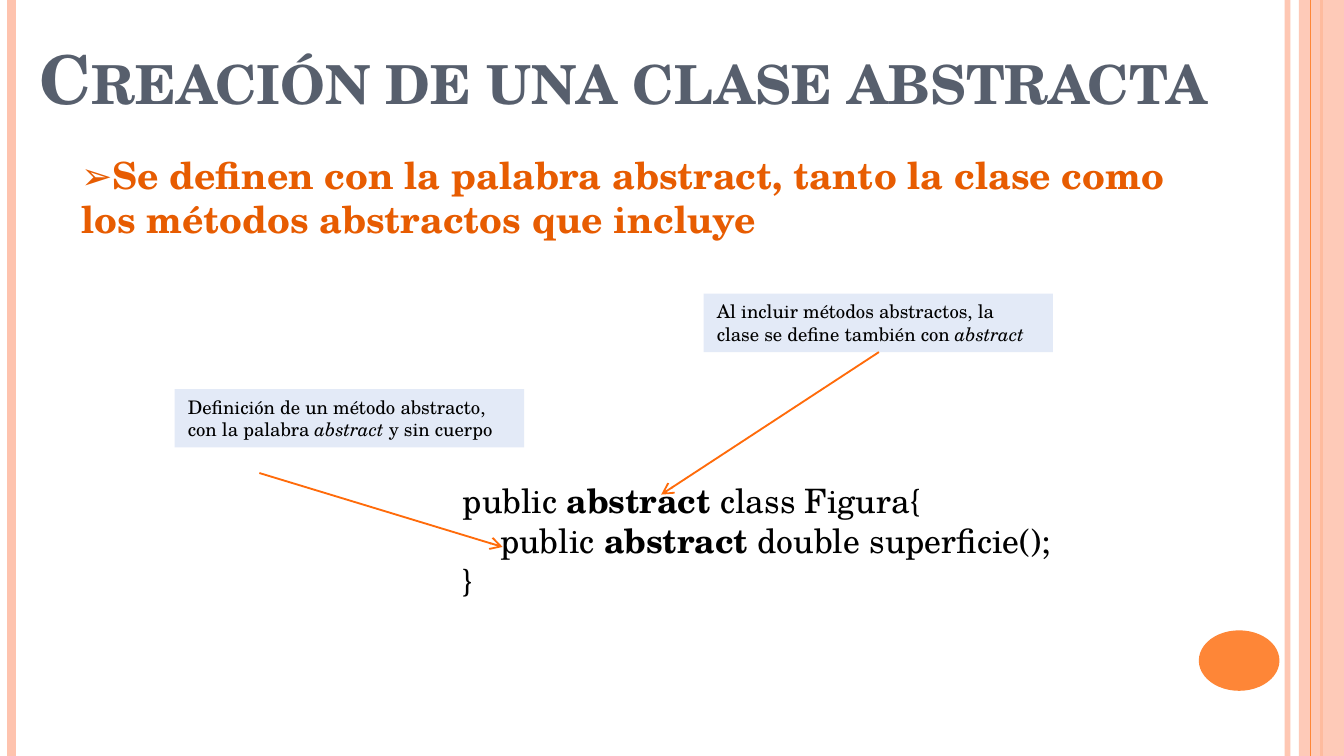
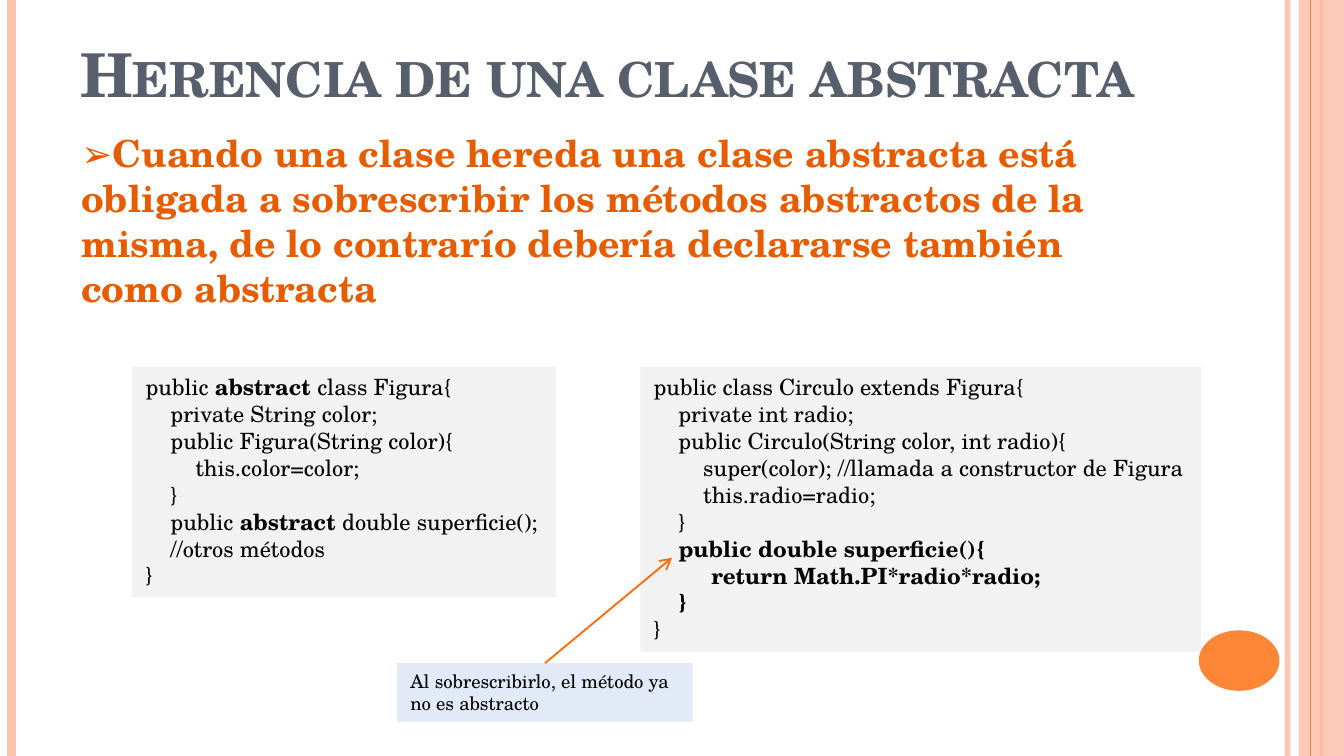
from dataclasses import dataclass

from lxml import etree
from pptx import Presentation
from pptx.dml.color import RGBColor
from pptx.enum.shapes import MSO_CONNECTOR, MSO_SHAPE
from pptx.enum.text import MSO_ANCHOR, PP_ALIGN
from pptx.oxml.ns import qn
from pptx.shapes.base import BaseShape
from pptx.slide import Slide
from pptx.text.text import TextFrame
from pptx.util import Emu, Pt

RECT = MSO_SHAPE.RECTANGLE
OVAL = MSO_SHAPE.OVAL
LINE = MSO_CONNECTOR.STRAIGHT
LEFT = PP_ALIGN.LEFT
TOP = MSO_ANCHOR.TOP
SCALE = 4572
WIDE, HIGH = 2000, 1125


@dataclass(frozen=True)
class Theme:
    font: str = "TeX Gyre Schola"
    ink: str = "000000"
    head: str = "575F6D"
    lead: str = "E75C01"
    peach: str = "FEC3AE"
    orange: str = "FE8637"
    arrow: str = "FF6B0A"
    note: str = "E3EAF7"
    panel: str = "F2F2F2"
    lead_size: float = 20
    note_size: float = 10
    panel_size: float = 12
    code_size: float = 18


THEME = Theme()


@dataclass(frozen=True)
class Box:
    left: int
    top: int
    width: int
    height: int

    def place(self) -> tuple[Emu, ...]:
        return tuple(px(n) for n in (self.left, self.top, self.width, self.height))


@dataclass(frozen=True)
class Stripe:
    x: int
    color: str
    weight: float
    alpha: int = 100


@dataclass(frozen=True)
class Label:
    box: Box
    text: str
    size: float
    fill: str = ""
    slant: bool = False


@dataclass(frozen=True)
class Arrow:
    x1: int
    y1: int
    x2: int
    y2: int


@dataclass(frozen=True)
class Page:
    title: str
    title_box: Box
    title_size: float
    lead: str
    lead_box: Box
    labels: tuple[Label, ...]
    arrows: tuple[Arrow, ...]


UNDER = (
    Stripe(1916, THEME.peach, 3, 93),
    Stripe(17, THEME.peach, 4.5),
    Stripe(1966, THEME.orange, 1.5),
)
OVER = Stripe(1950, THEME.orange, 0.75)
BAND = Box(1933, 0, 67, HIGH)
DOT = Box(1784, 938, 120, 90)


def note(left: int, top: int, width: int, text: str) -> Label:
    return Label(Box(left, top, width, 87), text, THEME.note_size, THEME.note, True)


def panel(left: int, width: int, height: int, text: str) -> Label:
    return Label(Box(left, 546, width, height), text, THEME.panel_size, THEME.panel)


FIGURE = """public |abstract |class Figura{
    public |abstract |double superficie();
}"""

PARENT = """public |abstract |class Figura{
    private String color;
    public Figura(String color){
        this.color=color;
    }
    public |abstract |double superficie();
    //otros métodos
}"""

CHILD = """public class Circulo extends Figura{
    private int radio;
    public Circulo(String color, int radio){
        super(color); //llamada a constructor de Figura
        this.radio=radio;
    }
    |public double superficie(){
|         return Math.PI*radio*radio;
|    }
}"""

PAGES = (
    Page(
        "Creación de una clase abstracta", Box(39, 46, 1826, 188), 36,
        "Se definen con la palabra abstract, tanto la clase como "
        "los métodos abstractos que incluye",
        Box(101, 216, 1716, 296),
        (
            Label(Box(669, 704, 1150, 202), FIGURE, THEME.code_size),
            note(260, 579, 520, "Definición de un método abstracto, "
                 "con la palabra |abstract| y sin cuerpo"),
            note(1047, 437, 520, "Al incluir métodos abstractos, la "
                 "clase se define también con |abstract"),
        ),
        (Arrow(386, 704, 748, 814), Arrow(1308, 524, 984, 736)),
    ),
    Page(
        "Herencia de una clase abstracta", Box(100, 46, 1634, 188), 32.4,
        "Cuando una clase hereda una clase abstracta está obligada a "
        "sobrescribir los métodos abstractos de la misma, de lo contrarío "
        "debería declararse también como abstracta",
        Box(101, 184, 1638, 296),
        (
            panel(197, 630, 343, PARENT),
            panel(953, 834, 424, CHILD),
            note(591, 987, 440, "Al sobrescribirlo, el método ya no es abstracto"),
        ),
        (Arrow(811, 987, 1000, 830),),
    ),
)


def px(count: int) -> Emu:
    return Emu(count * SCALE)


def rgb(code: str) -> RGBColor:
    return RGBColor.from_string(code)


def fade(shape: BaseShape, alpha: int) -> None:
    tone = next(shape._element.iter(qn("a:srgbClr")))
    etree.SubElement(tone, qn("a:alpha")).set("val", str(alpha * 1000))


def form(slide: Slide, kind: MSO_SHAPE, box: Box, color: str) -> BaseShape:
    shape = slide.shapes.add_shape(kind, *box.place())
    shape.shadow.inherit = False
    shape.fill.solid()
    shape.fill.fore_color.rgb = rgb(color)
    shape.line.fill.background()
    return shape


def rule(slide: Slide, track: Arrow, color: str, weight: float) -> BaseShape:
    ends = (px(n) for n in (track.x1, track.y1, track.x2, track.y2))
    line = slide.shapes.add_connector(LINE, *ends)
    line.line.color.rgb = rgb(color)
    line.line.width = Pt(weight)
    etree.SubElement(line._element.spPr, qn("a:effectLst"))
    return line


def stripe(slide: Slide, item: Stripe) -> None:
    line = rule(slide, Arrow(item.x, 0, item.x, HIGH), item.color, item.weight)
    if item.alpha < 100:
        fade(line, item.alpha)


def arrow(slide: Slide, item: Arrow) -> None:
    line = rule(slide, item, THEME.arrow, 1)
    etree.SubElement(line.line._get_or_add_ln(), qn("a:tailEnd")).set("type", "arrow")


def frame(slide: Slide, box: Box, fill: str = "") -> TextFrame:
    if fill:
        shape = form(slide, RECT, box, fill)
    else:
        shape = slide.shapes.add_textbox(*box.place())
    body = shape.text_frame
    body.word_wrap = True
    body.vertical_anchor = TOP
    return body


def label(slide: Slide, item: Label) -> None:
    body = frame(slide, item.box, item.fill)
    body.text = item.text.replace("|", "")
    for para, line in zip(body.paragraphs, item.text.split("\n")):
        para.alignment = LEFT
        para.clear()
        for spot, part in enumerate(line.split("|")):
            if not part:
                continue
            run = para.add_run()
            run.text = part
            font = run.font
            font.name, font.size = THEME.font, Pt(item.size)
            font.color.rgb = rgb(THEME.ink)
            if spot % 2:
                font.bold, font.italic = not item.slant, item.slant


def heading(slide: Slide, box: Box, text: str, size: float, color: str) -> TextFrame:
    body = frame(slide, box)
    body.text = text
    font = body.paragraphs[0].runs[0].font
    font.name, font.size, font.bold = THEME.font, Pt(size), True
    font.color.rgb = rgb(color)
    return body


def title(slide: Slide, page: Page) -> None:
    body = heading(slide, page.title_box, page.title, page.title_size, THEME.head)
    run = body.paragraphs[0].runs[0]
    run._r.get_or_add_rPr().set("cap", "small")


def lead(slide: Slide, page: Page) -> None:
    body = heading(slide, page.lead_box, page.lead, THEME.lead_size, THEME.lead)
    para = body.paragraphs[0]
    props = para._p.get_or_add_pPr()
    props.set("marL", "0")
    props.set("indent", "0")
    etree.SubElement(props, qn("a:buFont")).set("typeface", THEME.font)
    etree.SubElement(props, qn("a:buChar")).set("char", "➢")
    para.space_after = Pt(12)


def decor(slide: Slide) -> None:
    for item in UNDER:
        stripe(slide, item)
    fade(form(slide, RECT, BAND, THEME.peach), 87)
    stripe(slide, OVER)
    form(slide, OVAL, DOT, THEME.orange)


def main() -> None:
    deck = Presentation()
    deck.slide_width, deck.slide_height = px(WIDE), px(HIGH)
    for page in PAGES:
        slide = deck.slides.add_slide(deck.slide_layouts[6])
        decor(slide)
        title(slide, page)
        for item in page.labels:
            label(slide, item)
        for item in page.arrows:
            arrow(slide, item)
        lead(slide, page)
    deck.save("out.pptx")


if __name__ == "__main__":
    main()
